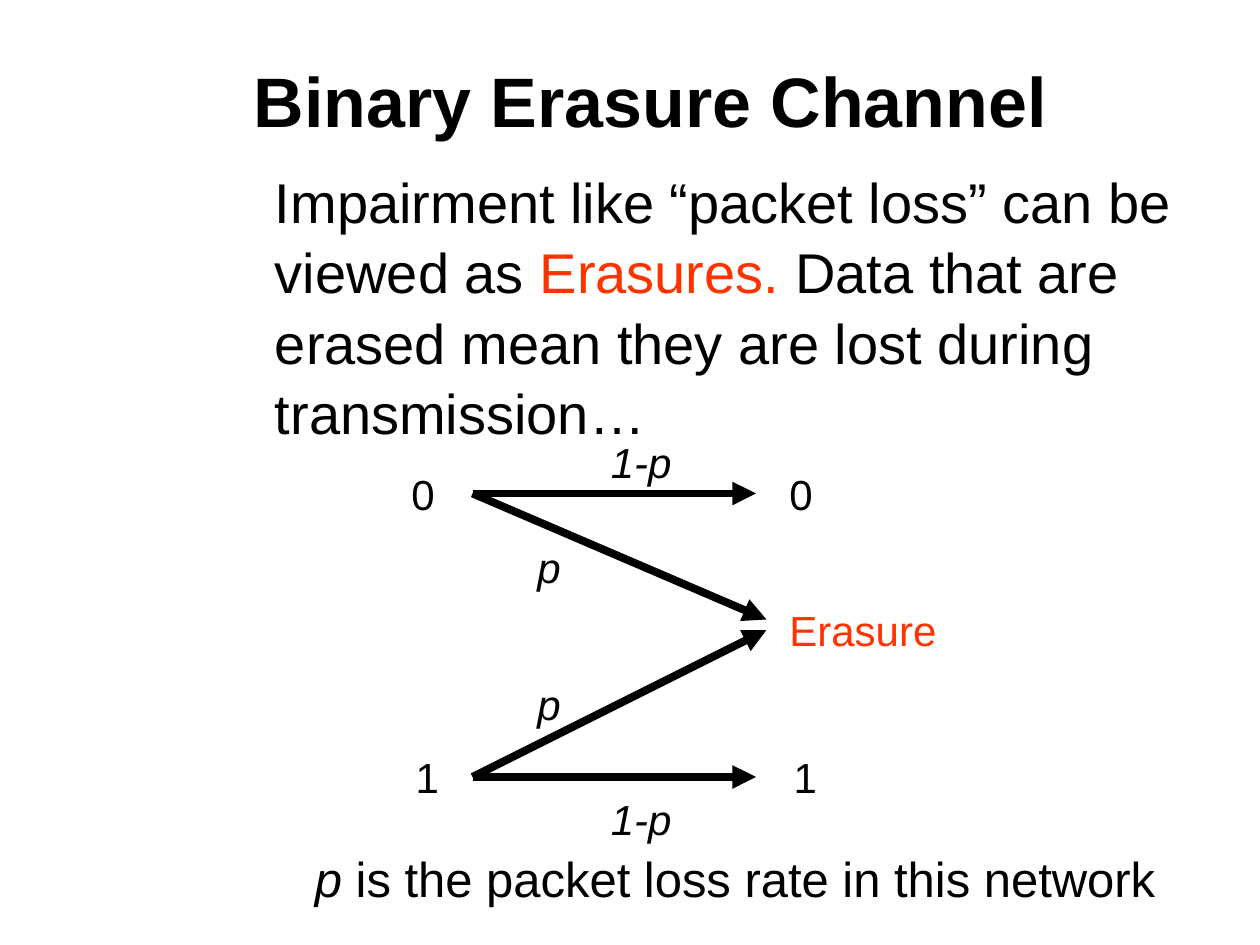
from lxml import etree
from pptx import Presentation
from pptx.dml.color import RGBColor
from pptx.enum.shapes import MSO_CONNECTOR
from pptx.enum.text import MSO_ANCHOR, MSO_AUTO_SIZE
from pptx.oxml.ns import qn
from pptx.util import Inches, Pt

STRAIGHT = MSO_CONNECTOR.STRAIGHT
MIDDLE = MSO_ANCHOR.MIDDLE
GROW = MSO_AUTO_SIZE.SHAPE_TO_FIT_TEXT

COLORS = {"ink": "000000", "alert": "FF3300"}
FONT = "Arial"
COLS, ROWS = 120, 90  # grid of twelfths of an inch
TOP, LOW = 47, 74     # rows of the input symbols 0 and 1
LEFT, RIGHT = 45, 72  # columns where the straight arrows run
MEET = 73             # column where the erasure arrows end


def grid(n):
    return Inches(n / 12)


def color(name):
    return RGBColor.from_string(COLORS[name])


def add_text(slide, box, runs, size, frame=None, spacing=None):
    """Each run is (text, colour, font extras); box is in grid cells."""
    shape = slide.shapes.add_textbox(*map(grid, box))
    for key, value in (frame or {}).items():
        setattr(shape.text_frame, key, value)
    para = shape.text_frame.paragraphs[0]
    para.line_spacing = spacing
    for text, tone, extra in runs:
        run = para.add_run()
        run.text = text
        style = {"name": FONT, "size": Pt(size), **extra}
        for key, value in style.items():
            setattr(run.font, key, value)
        run.font.color.rgb = color(tone)


def add_label(slide, col, row, text, width=4.7, tone="ink", italic=False):
    add_text(slide, (col, row, width, 6), [(text, tone, {"italic": italic})],
             24, {"word_wrap": False, "auto_size": GROW})


def add_arrow(slide, start, end):
    line = slide.shapes.add_connector(STRAIGHT, *map(grid, start + end))
    line.line.width = Pt(4.5)
    line.line.color.rgb = color("ink")
    etree.SubElement(line.line._get_or_add_ln(), qn("a:tailEnd"), type="triangle")
    etree.SubElement(line._element.spPr, qn("a:effectLst"))


def main():
    deck = Presentation()
    deck.slide_width, deck.slide_height = grid(COLS), grid(ROWS)
    slide = deck.slides.add_slide(deck.slide_layouts[6])

    # Title and explanation
    add_text(slide, (23, 4, 92, 11),
             [("Binary Erasure Channel", "ink", {"bold": True})], 40,
             {"word_wrap": True, "vertical_anchor": MIDDLE})
    add_text(slide, (25, 15, 91, 33.2), [
        ("Impairment like “packet loss” can be viewed as ", "ink", {}),
        ("Erasures. ", "alert", {}),
        ("Data that are erased mean they are lost during transmission…",
         "ink", {}),
    ], 32, {"word_wrap": True, "auto_size": GROW}, 1.05)

    # Input and output symbols
    for col in (38, 74):
        add_label(slide, col, TOP - 3, "0")
        add_label(slide, col + 0.4, LOW - 3, "1")
    add_label(slide, 74, 57, "Erasure", 16.4, "alert")

    # Transitions: kept symbols, then erased ones
    for row in (TOP, LOW):
        add_arrow(slide, (LEFT, row), (RIGHT, row))
    for row, goal in ((TOP, 59), (LOW, 60)):
        add_arrow(slide, (LEFT, row), (MEET, goal))

    # Probabilities
    for row in (75, 41):
        add_label(slide, 57, row, "1-p", 8.2, italic=True)
    for row in (51, 64):
        add_label(slide, 50, row, "p", italic=True)

    # Meaning of p
    add_text(slide, (28.8, 80.2, 82.7, 6.8), [
        ("p ", "ink", {"italic": True}),
        ("is the packet loss rate in this network", "ink", {"italic": False}),
    ], 28, {"word_wrap": False, "auto_size": GROW})

    deck.save("out.pptx")


if __name__ == "__main__":
    main()
